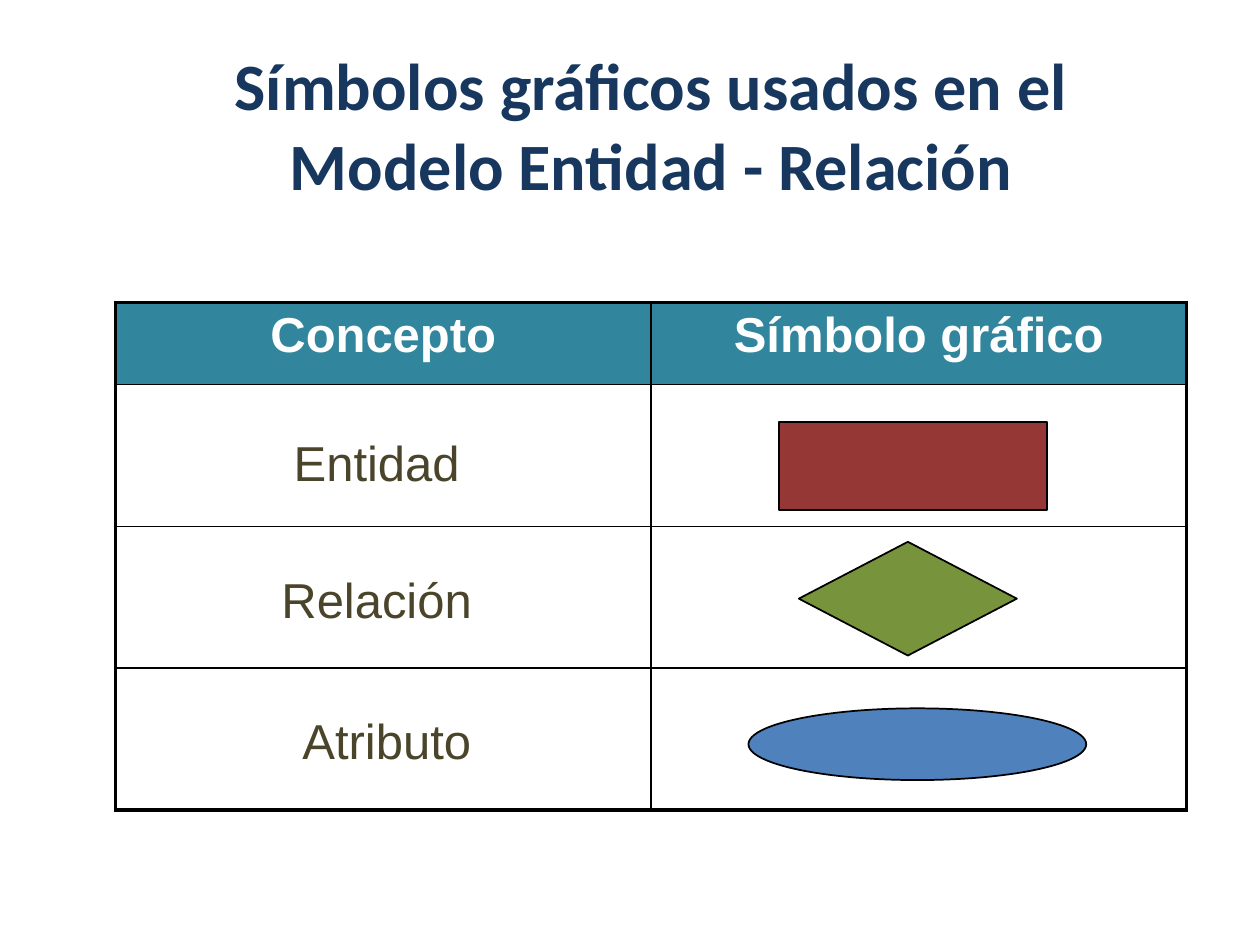
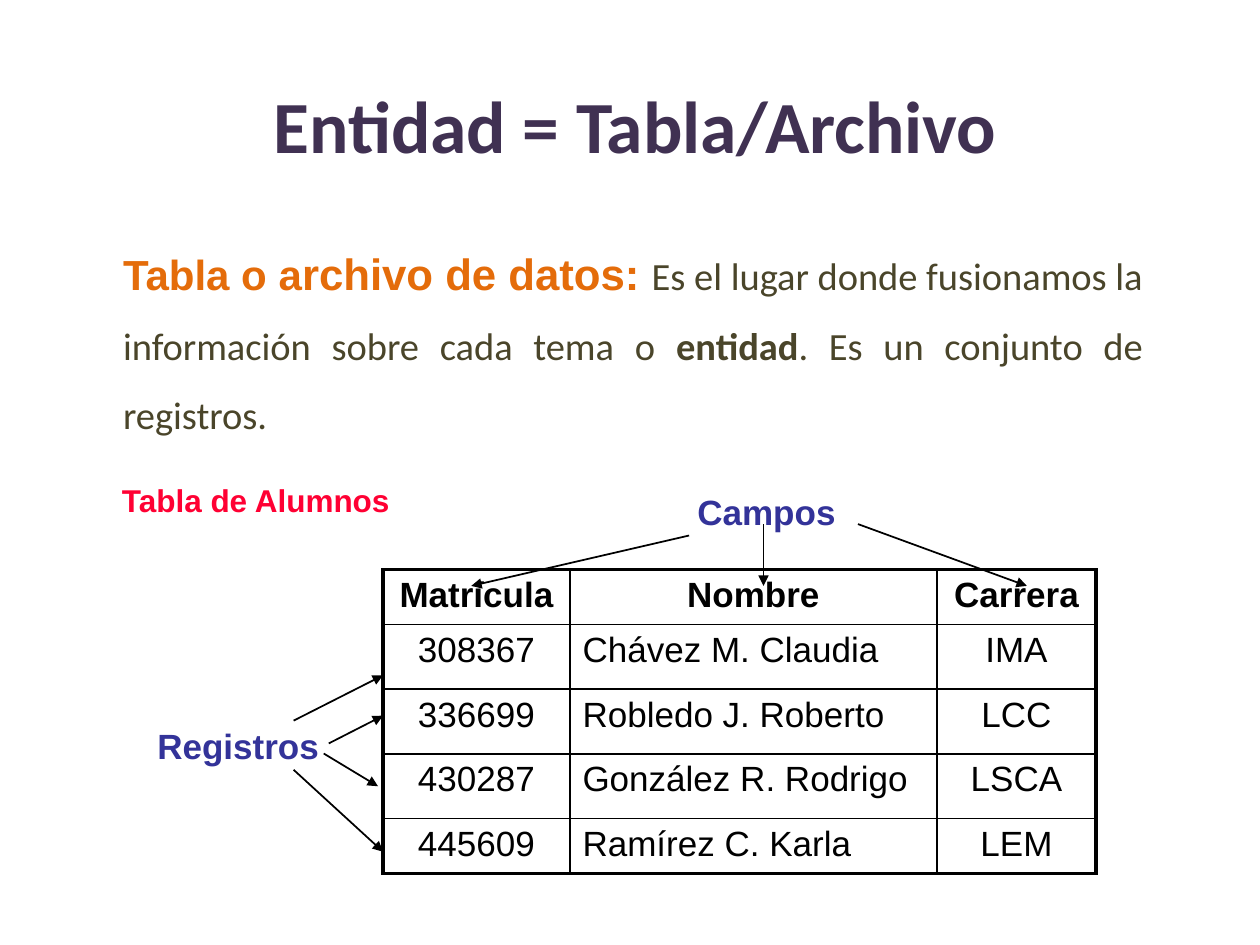
"""Builds two slides on the symbols of the entity-relationship model and its tables."""
from lxml.etree import SubElement
from pptx import Presentation
from pptx.dml.color import RGBColor
from pptx.enum.shapes import MSO_CONNECTOR, MSO_SHAPE
from pptx.enum.text import MSO_ANCHOR, PP_ALIGN
from pptx.oxml.ns import qn
from pptx.util import Pt

BLACK = RGBColor(0, 0, 0)
WHITE = RGBColor(255, 255, 255)
NAVY = RGBColor(0x17, 0x37, 0x5E)
PURPLE = RGBColor(0x40, 0x31, 0x52)
TEAL = RGBColor(0x31, 0x85, 0x9C)
OLIVE = RGBColor(0x4A, 0x45, 0x2A)
ORANGE = RGBColor(0xE4, 0x6C, 0x0A)
RED = RGBColor(0xFF, 0x00, 0x33)
INDIGO = RGBColor(0x33, 0x33, 0x99)
BRICK = RGBColor(0x95, 0x37, 0x35)
GREEN = RGBColor(0x77, 0x93, 0x3C)
BLUE = RGBColor(0x4F, 0x81, 0xBD)

THIN, THICK = 1, 2.25
CENTER, LEFT, JUSTIFY = PP_ALIGN.CENTER, PP_ALIGN.LEFT, PP_ALIGN.JUSTIFY


def font_format(name, size, color, bold=False):
    return {"name": name, "size": Pt(size), "color": color, "bold": bold}


CONCEPT_FONT = font_format("Arial", 28, OLIVE)
CONCEPT_HEADER_FONT = font_format("Arial", 28, WHITE, True)
CALLOUT_FONT = font_format("Arial", 20, INDIGO, True)
CAPTION_FONT = font_format("Arial", 18, RED, True)
STUDENT_FONT = font_format("Arial", 20, BLACK)
STUDENT_HEADER_FONT = font_format("Arial", 20, BLACK, True)
BODY_FONT = font_format("Calibri", 22, OLIVE)

SYMBOLS_TITLE = "Símbolos gráficos usados en el Modelo Entidad - Relación"
SYMBOL_ROWS = [("Concepto", "Símbolo gráfico")] + [("", "")] * 3
CONCEPTS = [
    ("Entidad", (127.4, 243.6, 175.7, 41)),
    ("Relación", (127.4, 322, 175.7, 41)),
    ("Atributo", (133.2, 402.6, 175.7, 41)),
]
SYMBOLS = [
    (MSO_SHAPE.RECTANGLE, BRICK, (445, 241, 153.5, 50.5)),
    (MSO_SHAPE.FLOWCHART_DECISION, GREEN, (456.5, 309.6, 124.6, 65)),
    (MSO_SHAPE.OVAL, BLUE, (427.7, 404.8, 193, 41)),
]

ENTITY_TITLE = "Entidad = Tabla/Archivo"
DEFINITION = [
    ("Tabla o a", font_format("Arial", 24, ORANGE, True)),
    ("rchivo de datos: ", font_format("Arial", 25, ORANGE, True)),
    ("Es el lugar donde fusionamos la información sobre cada tema o ", BODY_FONT),
    ("entidad", font_format("Calibri", 22, OLIVE, True)),
    (". Es un conjunto de registros.", BODY_FONT),
]
STUDENT_ROWS = [
    ("Matrícula", "Nombre", "Carrera"),
    ("308367", "Chávez M. Claudia", "IMA"),
    ("336699", "Robledo J. Roberto", "LCC"),
    ("430287", "González R. Rodrigo", "LSCA"),
    ("445609", "Ramírez C. Karla", "LEM"),
]
CALLOUTS = [
    ("Tabla de Alumnos", CAPTION_FONT, (31, 271.4, 230.4, 36)),
    ("Campos", CALLOUT_FONT, (357, 277, 162, 31)),
    ("Registros", CALLOUT_FONT, (71.3, 410.3, 129.6, 31)),
]
ARROWS = [
    ((393.8, 306), (269.3, 334.8)),
    ((436.3, 299.5), (436.3, 334.8)),
    ((490.3, 299.5), (586.8, 334.8)),
    ((167.8, 411.8), (218.9, 385.9)),
    ((187.9, 424.8), (218.9, 409)),
    ((185, 430.6), (216, 449.3)),
    ((167.8, 439.9), (218.9, 486.7)),
]


def to_points(values):
    return [Pt(value) for value in values]


def write(paragraph, runs, align):
    paragraph.alignment = align
    for text, formats in runs:
        run = paragraph.add_run()
        run.text = text
        for name, value in formats.items():
            if name == "color":
                run.font.color.rgb = value
            else:
                setattr(run.font, name, value)


def add_text(slide, runs, box, align=CENTER, anchor=MSO_ANCHOR.TOP, wrap=True):
    frame = slide.shapes.add_textbox(*to_points(box)).text_frame
    frame.word_wrap = wrap
    frame.vertical_anchor = anchor
    paragraph = frame.paragraphs[0]
    write(paragraph, runs, align)
    return paragraph


def add_title(slide, text, box, size, color, wrap=True):
    runs = [(text, font_format("Calibri", size, color, True))]
    add_text(slide, runs, box, anchor=MSO_ANCHOR.MIDDLE, wrap=wrap)


def set_borders(cell, widths):
    properties = cell._tc.get_or_add_tcPr()
    for side, width in widths.items():
        line = SubElement(properties, qn(f"a:ln{side}"), w=str(Pt(width)))
        fill = SubElement(line, qn("a:solidFill"))
        SubElement(fill, qn("a:srgbClr"), val=str(BLACK))


def add_grid(slide, rows, origin, widths, heights, header_font, body_font, aligns, header_fill=None):
    last_row, last_column = len(rows) - 1, len(widths) - 1
    size = (sum(widths), sum(heights))
    table = slide.shapes.add_table(len(rows), len(widths), *to_points(origin + size)).table
    table.first_row = table.horz_banding = False
    for column, width in zip(table.columns, widths):
        column.width = Pt(width)
    for r, (row, height) in enumerate(zip(rows, heights)):
        table.rows[r].height = Pt(height)
        for c, text in enumerate(row):
            cell = table.cell(r, c)
            set_borders(cell, {
                "L": THICK if c == 0 else THIN,
                "R": THICK if c == last_column else THIN,
                "T": THICK if r == 0 else THIN,
                "B": THICK if r == last_row else THIN,
            })
            if r == 0 and header_fill is not None:
                cell.fill.solid()
                cell.fill.fore_color.rgb = header_fill
            else:
                cell.fill.background()
            if text:
                font = body_font if r else header_font
                write(cell.text_frame.paragraphs[0], [(text, font)], aligns[c] if r else CENTER)


def add_symbol(slide, kind, color, box):
    shape = slide.shapes.add_shape(kind, *to_points(box))
    shape.shadow.inherit = False
    shape.fill.solid()
    shape.fill.fore_color.rgb = color
    shape.line.color.rgb = BLACK
    shape.line.width = Pt(THIN)


def add_arrow(slide, start, end):
    connector = slide.shapes.add_connector(MSO_CONNECTOR.STRAIGHT, *to_points(start + end))
    connector.line.color.rgb = BLACK
    connector.line.width = Pt(THIN)
    SubElement(connector.line._get_or_add_ln(), qn("a:tailEnd"), type="triangle")
    SubElement(connector._element.spPr, qn("a:effectLst"))


def build_symbols_slide(slide):
    add_title(slide, SYMBOLS_TITLE, (66, 27.4, 612, 87), 37.8, NAVY)
    add_grid(slide, SYMBOL_ROWS, (66, 172.8), [306] * 2, [47] + [81] * 3,
             CONCEPT_HEADER_FONT, CONCEPT_FONT, [CENTER] * 2, TEAL)
    for text, box in CONCEPTS:
        add_text(slide, [(text, CONCEPT_FONT)], box)
    for kind, color, box in SYMBOLS:
        add_symbol(slide, kind, color, box)


def build_entity_slide(slide):
    definition = add_text(slide, DEFINITION, (63.2, 122.4, 597, 138), JUSTIFY)
    definition.line_spacing = 1.5
    add_grid(slide, STUDENT_ROWS, (218.9, 325.6), [106.8, 209.7, 91], [31] + [37] * 3 + [31],
             STUDENT_HEADER_FONT, STUDENT_FONT, [CENTER, LEFT, CENTER])
    for text, font, box in CALLOUTS:
        add_text(slide, [(text, font)], box)
    for start, end in ARROWS:
        add_arrow(slide, start, end)
    add_title(slide, ENTITY_TITLE, (149, 41.8, 428, 58.4), 42, PURPLE, wrap=False)


def main():
    presentation = Presentation()
    presentation.slide_width, presentation.slide_height = Pt(720), Pt(540)
    for build in (build_symbols_slide, build_entity_slide):
        build(presentation.slides.add_slide(presentation.slide_layouts[6]))
    presentation.save("out.pptx")


if __name__ == "__main__":
    main()
